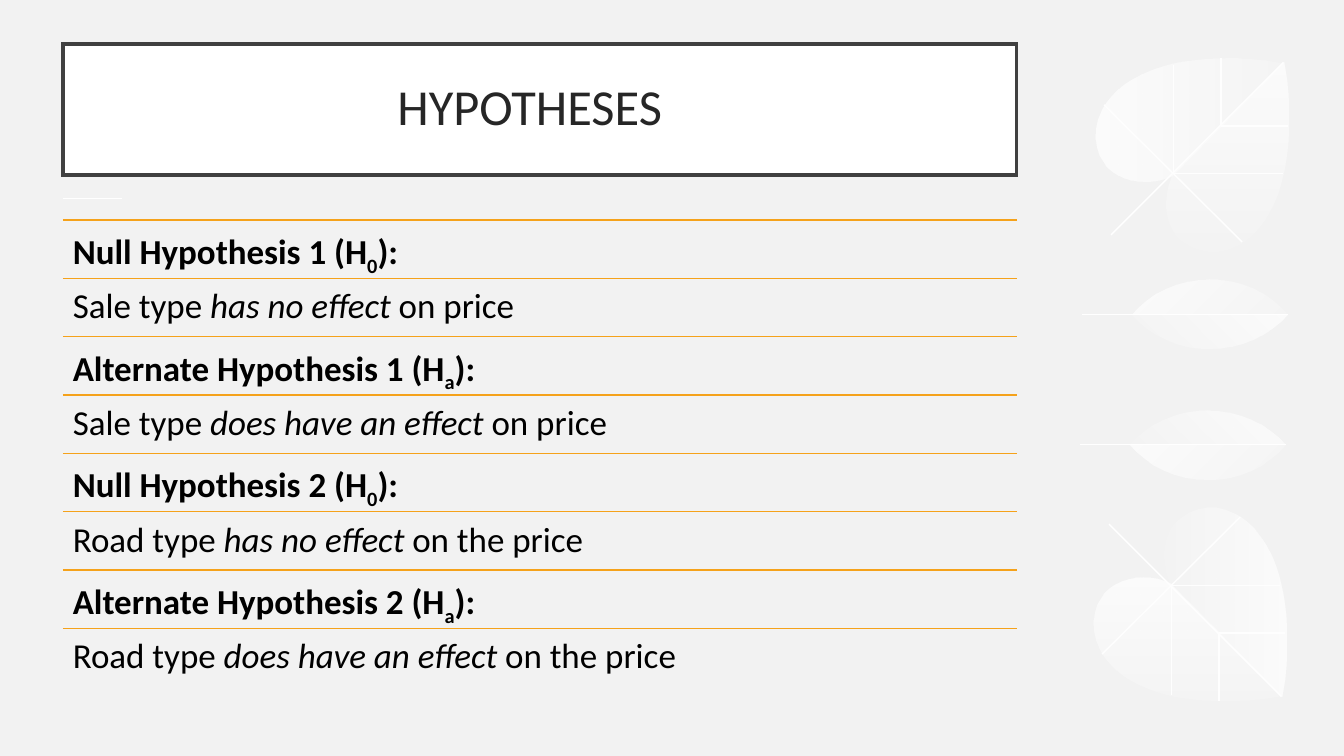
"""Build the hypotheses slide: a framed title, ruled rows and a leaf border."""
import math

import pptx
import pptx.dml.color
import pptx.enum.shapes
import pptx.enum.text
import pptx.oxml
import pptx.oxml.ns
import pptx.util

COLS, ROWS = 1333, 750
CELL = pptx.util.Inches(0.01)
COLORS = {"back": "F2F2F2", "white": "FFFFFF", "frame": "404040", "title": "262626",
          "text": "000000", "rule": "F5A21B"}
FONT = "Calibri"

LEFT, WIDTH = 62.4, 946
FIRST_RULE, ROW_STEP = 218.2, 57.9
MIRROR_X, MIRROR_Y = -2, 753

# Each outline is a start point, then segments of one point (line) or three (curve).
STRAIGHT_VEINS = [
    [(1273, 62), (1102, 233)],
    [(1095, 104), (1232, 240)],
]
BENT_VEINS = [
    ([(1272, 172)], [(1164, 172)], [(1164, 64)]),
    ([(1277, 125)], [(1211, 125)], [(1211, 58)]),
]
STEM = [(1073, 312), (1277, 312)]
# Outline, centre, size, rotation, gradient angle and closing opacity.
LEAVES = [
    (([(1273, 63)], [(1162, 174)], [(1151, 178)],
      [(1129, 183), (1111, 177), (1099, 166)],
      [(1098, 165), (1096, 163), (1095, 161)],
      [(1067, 124), (1101, 44), (1255, 60)]), (1169, 97), (98, 196), 45, 315, 20),
    (([(1273, 62)], [(1276, 80)],
      [(1292, 234), (1212, 269), (1175, 240)],
      [(1160, 230), (1153, 210), (1159, 184)],
      [(1163, 173)], [(1162, 174)]), (1239, 166), (98, 196), 45, 45, 10),
    (([(1199, 277)], [(1169, 277), (1141, 290), (1122, 312)],
      [(1277, 312), (1277, 312), (1277, 312)],
      [(1258, 290), (1231, 277), (1199, 277)]), (1199.5, 294.5), (35, 155), 90, 315, 20),
    (([(1277, 312)], [(1122, 312), (1122, 312), (1122, 312)],
      [(1141, 333), (1169, 346), (1199, 346)],
      [(1231, 346), (1258, 333), (1277, 312)]), (1199.5, 329), (34, 155), 90, 45, 10),
]
HYPOTHESES = [
    ("Null", 1, "0", "Sale type ", "has no effect", " on price"),
    ("Alternate", 1, "a", "Sale type ", "does have an effect", " on price"),
    ("Null", 2, "0", "Road type ", "has no effect", " on the price"),
    ("Alternate", 2, "a", "Road type ", "does have an effect", " on the price"),
]


def rgb(name):
    return pptx.dml.color.RGBColor.from_string(COLORS[name])


def xml(tag, attrs=""):
    return pptx.oxml.parse_xml(f"<a:{tag} {pptx.oxml.ns.nsdecls('a')} {attrs}/>")


def mirrored(point):
    return point[0] + MIRROR_X, MIRROR_Y - point[1]


def unrotated(point, center, degrees):
    c, s = math.cos(math.radians(degrees)), math.sin(math.radians(degrees))
    dx, dy = point[0] - center[0], point[1] - center[1]
    return c * dx + s * dy, c * dy - s * dx


class Deck:
    def __init__(self):
        self.prs = pptx.Presentation()
        self.prs.slide_width, self.prs.slide_height = COLS * CELL, ROWS * CELL
        self.s = self.prs.slides.add_slide(self.prs.slide_layouts[5])
        self.s.background.fill.solid()
        self.s.background.fill.fore_color.rgb = rgb("back")

    def style_run(self, r, size, color, bold=False, italic=False, sub=False):
        r.font.name, r.font.size = FONT, pptx.util.Pt(size)
        r.font.bold, r.font.italic = bold, italic
        r.font.color.rgb = rgb(color)
        if sub:
            r.font._element.set("baseline", "-25000")

    def line(self, start, end, color):
        sp = self.s.shapes.add_connector(pptx.enum.shapes.MSO_CONNECTOR.STRAIGHT,
                                         *(round(v * CELL) for v in (*start, *end)))
        sp.line.color.rgb, sp.line.width = rgb(color), pptx.util.Pt(1)
        sp._element.spPr.append(xml("effectLst"))

    def freeform(self, segments, center, size, rotation, close):
        w, h = (round(v * CELL) for v in size)
        x, y = (round(c * CELL - v / 2) for c, v in zip(center, (w, h)))
        fb = self.s.shapes.build_freeform(x, y, scale=1.0)
        fb.add_line_segments([(x + w, y + h)], close=False)
        sp = fb.convert_to_shape()
        sp.rotation = rotation % 360
        sp.shadow.inherit = False
        outline = sp._element.find(".//" + pptx.oxml.ns.qn("a:path"))
        for node in list(outline):
            outline.remove(node)
        for i, seg in enumerate(segments):
            node = xml("moveTo" if i == 0 else "lnTo" if len(seg) == 1 else "cubicBezTo")
            for point in seg:
                px, py = unrotated(point, center, rotation)
                node.append(xml("pt", f'x="{round(px * CELL + w / 2)}" '
                                      f'y="{round(py * CELL + h / 2)}"'))
            outline.append(node)
        if close:
            outline.append(xml("close"))
        return sp

    def vein(self, segments):
        (right, bottom), (left, top) = segments[0][0], segments[-1][0]
        center = (left + right) / 2, (top + bottom) / 2
        size = abs(right - left), abs(bottom - top)
        sp = self.freeform(segments, center, size, 270, close=False)
        sp.fill.background()
        sp.line.color.rgb, sp.line.width = rgb("white"), pptx.util.Pt(1)

    def leaf(self, segments, center, size, rotation, angle, end_alpha):
        sp = self.freeform(segments, center, size, rotation, close=True)
        sp.line.fill.background()
        sp.fill.gradient()
        sp.fill.gradient_angle = 360 - angle
        for stop, pos in zip(sp.fill.gradient_stops, (0, 1)):
            stop.color.rgb, stop.position = rgb("white"), pos
        clrs = list(sp._element.spPr.iter(pptx.oxml.ns.qn("a:srgbClr")))
        for clr, alpha in zip(clrs, (80, end_alpha)):
            clr.append(xml("alpha", f'val="{alpha * 1000}"'))

    def frame(self, sp, box, margins, anchor):
        sp.left, sp.top, sp.width, sp.height = (round(v * CELL) for v in box)
        tf = sp.text_frame
        tf.word_wrap, tf.vertical_anchor = True, anchor
        tf.auto_size = pptx.enum.text.MSO_AUTO_SIZE.NONE
        tf.margin_left, tf.margin_top, tf.margin_right, tf.margin_bottom = (
            v * CELL for v in margins)
        tf.paragraphs[0].line_spacing = 0.9
        return tf

    def title(self, text, box):
        sp = self.s.shapes.title
        tf = self.frame(sp, box, (0, 20, 20, 20), pptx.enum.text.MSO_ANCHOR.MIDDLE)
        sp.fill.solid()
        sp.fill.fore_color.rgb = rgb("white")
        sp.line.color.rgb, sp.line.width = rgb("frame"), pptx.util.Pt(2.5)
        sp._element.spPr.find(pptx.oxml.ns.qn("a:ln")).append(xml("miter", 'lim="800000"'))
        p = tf.paragraphs[0]
        p.text, p.alignment = text, pptx.enum.text.PP_ALIGN.CENTER
        self.style_run(p.runs[0], 36, "title")

    def row(self, top, parts):
        self.line((LEFT, top), (LEFT + WIDTH, top), "rule")
        sp = self.s.shapes.add_textbox(0, 0, CELL, CELL)
        tf = self.frame(sp, (LEFT, top, WIDTH, ROW_STEP), (10,) * 4,
                        pptx.enum.text.MSO_ANCHOR.TOP)
        for text, look in parts:
            r = tf.paragraphs[0].add_run()
            r.text = text
            self.style_run(r, 25, "text", **look)


def main():
    deck = Deck()
    for flip in (False, True):
        place = mirrored if flip else tuple
        for start, end in STRAIGHT_VEINS:
            deck.line(place(start), place(end), "white")
        for vein in BENT_VEINS:
            deck.vein([[place(pt) for pt in seg] for seg in vein])
        for segments, center, size, rotation, angle, alpha in LEAVES:
            deck.leaf([[place(pt) for pt in seg] for seg in segments], place(center),
                      size, 180 - rotation if flip else rotation, angle, alpha)
        deck.line(*map(place, STEM), "white")
    deck.line((LEFT, 197), (121, 197), "white")
    deck.title("HYPOTHESES", (LEFT, 43.6, WIDTH, 130))

    rows = []
    for kind, number, index, subject, effect, ending in HYPOTHESES:
        bold = {"bold": True}
        rows.append([(f"{kind} Hypothesis {number} (H", bold),
                     (index, {"bold": True, "sub": True}), ("):", bold)])
        rows.append([(subject, {}), (effect, {"italic": True}), (ending, {})])
    for i, parts in enumerate(rows):
        deck.row(FIRST_RULE + i * ROW_STEP, parts)
    deck.prs.save("out.pptx")


if __name__ == "__main__":
    main()
